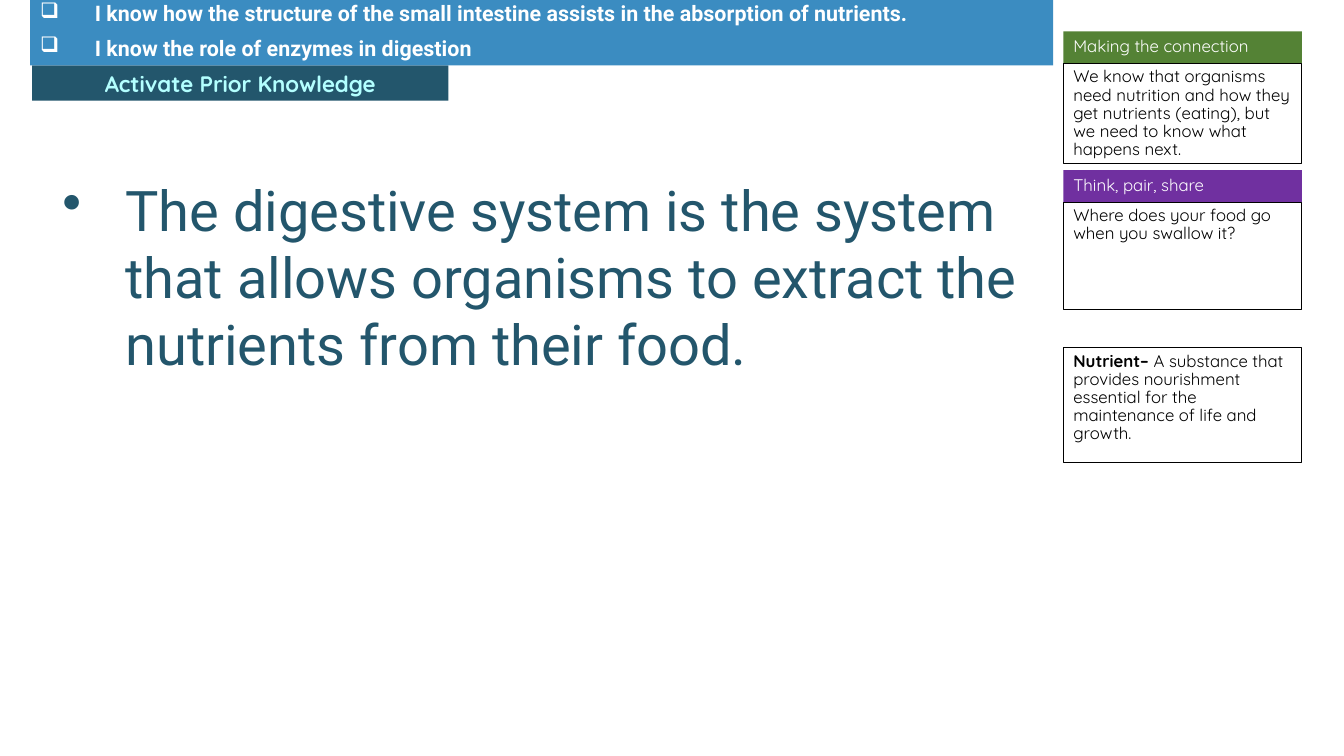
from lxml.etree import SubElement
from pptx import Presentation
from pptx.dml.color import RGBColor
from pptx.enum.shapes import MSO_SHAPE
from pptx.enum.text import MSO_ANCHOR, PP_ALIGN
from pptx.oxml.ns import qn
from pptx.util import Cm, Pt

COLORS = {
    "teal": "23566C", "aqua": "B3FFFF", "blue": "3B8CC1", "green": "548235",
    "purple": "7030A0", "white": "FFFFFF", "black": "000000",
}


class Lesson:
    heading_font = "Quicksand"
    body_font = "Roboto"
    card_left, card_width, header_height = 26.8, 6.01, 0.81

    def __init__(self, slide):
        self.s = slide

    def color(self, name):
        return RGBColor.from_string(COLORS[name])

    def box(self, x, y, w, h, fill=None, line=None):
        sp = self.s.shapes.add_shape(
            MSO_SHAPE.RECTANGLE, Cm(x), Cm(y), Cm(w), Cm(h))
        sp.shadow.inherit = False
        if fill:
            sp.fill.solid()
            sp.fill.fore_color.rgb = self.color(fill)
        else:
            sp.fill.background()
        if line:
            sp.line.color.rgb = self.color(line)
            sp.line.width = Pt(0.75)
        else:
            sp.line.fill.background()
        return sp

    def style_run(self, r, size, font, color, bold=False):
        r.font.name = font
        r.font.size = Pt(size)
        r.font.bold = bold
        r.font.color.rgb = self.color(color)

    def add_text(self, sp, text, size, font, color, bold=False,
                 anchor=MSO_ANCHOR.MIDDLE, align=PP_ALIGN.LEFT, spacing=1.0):
        tf = sp.text_frame
        tf.word_wrap = True
        tf.vertical_anchor = anchor
        tf.text = text
        for p in tf.paragraphs:
            p.alignment = align
            p.line_spacing = spacing
            for r in p.runs:
                self.style_run(r, size, font, color, bold)
        return tf

    def bullet(self, p, char, indent):
        pPr = p._p.get_or_add_pPr()
        pPr.set("marL", str(Cm(indent)))
        pPr.set("indent", str(-Cm(indent)))
        SubElement(pPr, qn("a:buChar")).set("char", char)

    def tab(self, text):
        sp = self.box(0.81, 1.65, 10.49, 0.89, fill="teal")
        self.add_text(sp, text, 16, self.heading_font, "aqua", bold=True,
                      align=PP_ALIGN.CENTER)

    def statement(self, text):
        sp = self.s.shapes.add_textbox(Cm(1.32), Cm(4.29), Cm(24.79), Cm(14.76))
        tf = self.add_text(sp, text, 40, self.body_font, "teal",
                           anchor=MSO_ANCHOR.TOP)
        self.bullet(tf.paragraphs[0], "•", 1.59)

    def checklist(self, items):
        sp = self.box(0.76, 0, 25.78, 1.65, fill="blue")
        tf = self.add_text(sp, "\n".join(items), 15.3, self.body_font, "white",
                           bold=True, spacing=0.8)
        for i, p in enumerate(tf.paragraphs):
            if i:
                p.space_before = Pt(10)
            self.bullet(p, "❑", 1.38)

    def header(self, y, text, fill):
        sp = self.box(self.card_left, y, self.card_width, self.header_height,
                      fill=fill)
        self.add_text(sp, text, 12, self.heading_font, "white", spacing=0.9)

    def note(self, y, h, text, term=None):
        sp = self.box(self.card_left, y, self.card_width, h, line="black")
        tf = self.add_text(sp, term or text, 12, self.heading_font, "black",
                           bold=bool(term), anchor=MSO_ANCHOR.TOP, spacing=0.9)
        if term:
            r = tf.paragraphs[0].add_run()
            r.text = text
            self.style_run(r, 12, self.heading_font, "black")

    def card(self, y, h, title, fill, text):
        self.header(y, title, fill)
        self.note(y + self.header_height, h, text)


def main():
    prs = Presentation()
    prs.slide_width, prs.slide_height = Cm(33.87), Cm(19.05)
    lesson = Lesson(prs.slides.add_slide(prs.slide_layouts[6]))

    # Main column
    lesson.tab("Activate Prior Knowledge")
    lesson.statement("The digestive system is the system that allows organisms "
                     "to extract the nutrients from their food.")

    # Side cards
    lesson.card(0.79, 2.51, "Making the connection", "green",
                "We know that organisms need nutrition and how they get "
                "nutrients (eating), but we need to know what happens next.")
    lesson.card(4.29, 2.69, "Think, pair, share", "purple",
                "Where does your food go when you swallow it?")
    lesson.note(8.76, 2.9, "A substance that provides nourishment essential "
                "for the maintenance of life and growth.", term="Nutrient– ")

    # Learning goals
    lesson.checklist([
        "I know how the structure of the small intestine assists in the "
        "absorption of nutrients.",
        "I know the role of enzymes in digestion",
    ])
    prs.save("out.pptx")


if __name__ == "__main__":
    main()
